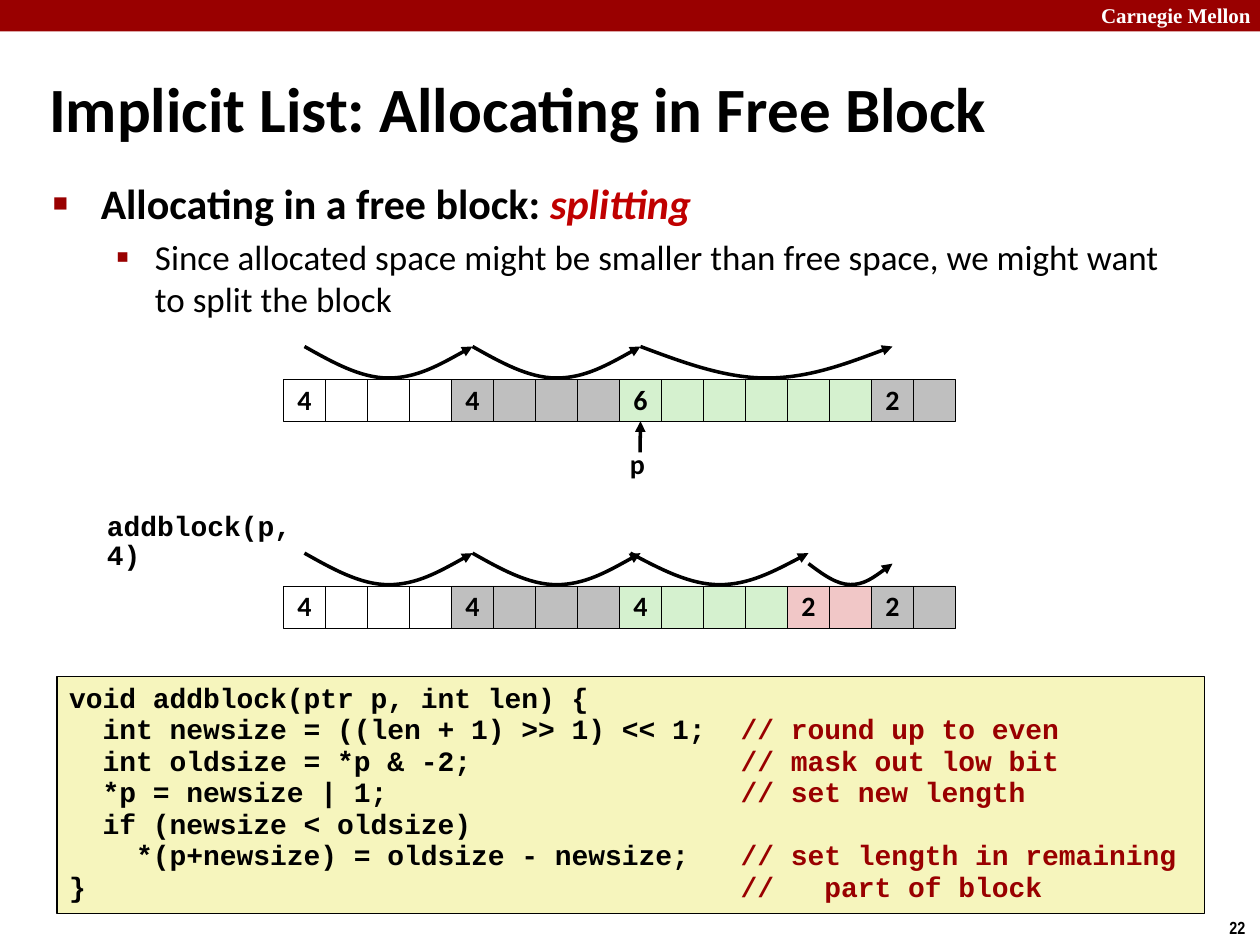
"""Build the slide on splitting a free block in an implicit list."""
import dataclasses

import lxml.etree
import pptx
import pptx.dml.color
import pptx.enum.shapes
import pptx.enum.text
import pptx.oxml.ns
import pptx.util

Inches, Pt = pptx.util.Inches, pptx.util.Pt
RGB = pptx.dml.color.RGBColor.from_string
qn = pptx.oxml.ns.qn
SubElement = lxml.etree.SubElement
RECTANGLE = pptx.enum.shapes.MSO_SHAPE.RECTANGLE
MIDDLE = pptx.enum.text.MSO_ANCHOR.MIDDLE
TOP = pptx.enum.text.MSO_ANCHOR.TOP
LEFT = pptx.enum.text.PP_ALIGN.LEFT
CENTER = pptx.enum.text.PP_ALIGN.CENTER
NO_AUTOFIT = pptx.enum.text.MSO_AUTO_SIZE.NONE


@dataclasses.dataclass(frozen=True)
class Theme:
    ink: str = "000000"
    paper: str = "FFFFFF"
    brand: str = "990000"
    emphasis: str = "C00000"
    allocated: str = "BFBFBF"
    free: str = "D5F1CF"
    remainder: str = "F1C7C7"
    code_fill: str = "F6F5BD"
    sans: str = "Calibri"
    mono: str = "Courier New"
    serif: str = "Times New Roman"
    narrow: str = "Arial Narrow"
    title: int = 36
    heading: int = 24
    detail: int = 20
    label: int = 16
    header: int = 12
    page: int = 10


theme = Theme()


def write(paragraph, text, *, size=theme.label, face=theme.sans, color=theme.ink,
          bold=True, italic=False):
    run = paragraph.add_run()
    run.text = text
    run.font.size = Pt(size)
    run.font.name = face
    run.font.bold = bold
    run.font.italic = italic
    run.font.color.rgb = RGB(color)


def add_box(left, top, width, height, fill, border=None):
    box = slide.shapes.add_shape(RECTANGLE, Inches(left), Inches(top), Inches(width), Inches(height))
    box.shadow.inherit = False
    box.fill.solid()
    box.fill.fore_color.rgb = RGB(fill)
    if border:
        box.line.color.rgb = RGB(theme.ink)
        box.line.width = Pt(border)
    else:
        box.line.fill.background()
    box.text_frame.word_wrap = False
    return box


deck = pptx.Presentation()
deck.slide_width, deck.slide_height = Inches(10), Inches(7.5)
slide = deck.slides.add_slide(deck.slide_layouts[1])

add_box(0, 0, 10, 0.25, theme.brand)

title, body = slide.placeholders
title.left, title.top, title.width, title.height = map(Inches, (0.29, 0.54, 9.42, 0.63))
title.text_frame.auto_size = NO_AUTOFIT
title.text_frame.vertical_anchor = MIDDLE
title.text_frame.paragraphs[0].alignment = LEFT
write(title.text_frame.paragraphs[0], "Implicit List: Allocating in Free Block", size=theme.title)

body.left, body.top, body.width, body.height = map(Inches, (0.32, 1.36, 9.09, 5.69))
body.text_frame.auto_size = NO_AUTOFIT
body.text_frame.vertical_anchor = TOP
topic = body.text_frame.paragraphs[0]
reason = body.text_frame.add_paragraph()
reason.level = 1
for point, margin, hanging, bullet, percent, gap in (
    (topic, 0.38, 0.38, "■", 60, 0),
    (reason, 0.81, 0.31, "▪", 110, 4),
):
    point.space_before = Pt(gap)
    properties = point._p.get_or_add_pPr()
    properties.set("marL", str(Inches(margin)))
    properties.set("indent", str(-Inches(hanging)))
    bullet_color = SubElement(properties, qn("a:buClr"))
    SubElement(bullet_color, qn("a:srgbClr"), val=theme.brand)
    SubElement(properties, qn("a:buSzPct"), val=str(percent * 1000))
    SubElement(properties, qn("a:buChar"), char=bullet)
write(topic, "Allocating in a free block: ", size=theme.heading)
write(topic, "splitting", size=theme.heading, color=theme.emphasis, italic=True)
write(reason, "Since allocated space might be smaller than free space, "
      "we might want to split the block", size=theme.detail, bold=False)

listing = add_box(0.45, 5.37, 9.11, 1.88, theme.code_fill, border=1)
listing.text_frame.vertical_anchor = TOP
code = (
    ("void addblock(ptr p, int len) {", ""),
    ("  int newsize = ((len + 1) >> 1) << 1;", "// round up to even"),
    ("  int oldsize = *p & -2;", "// mask out low bit"),
    ("  *p = newsize | 1;", "// set new length"),
    ("  if (newsize < oldsize)", ""),
    ("    *(p+newsize) = oldsize - newsize;", "// set length in remaining"),
    ("}", "//   part of block"),
)
for number, (statement, comment) in enumerate(code):
    line = listing.text_frame.add_paragraph() if number else listing.text_frame.paragraphs[0]
    line.alignment = LEFT
    line.line_spacing = 0.94
    if comment:
        stops = SubElement(line._p.get_or_add_pPr(), qn("a:tabLst"))
        SubElement(stops, qn("a:tab"), pos=str(Inches(5.33)), algn="l")
    write(line, statement + ("\t" if comment else ""), face=theme.mono)
    if comment:
        write(line, comment, face=theme.mono, color=theme.brand)

cell_size = 1 / 3
heap_left = 2.25
heaps = (
    (3.01, ((4, theme.paper, 0), (4, theme.allocated, 0), (6, theme.free, 0),
            (2, theme.allocated, 0))),
    (4.65, ((4, theme.paper, 0), (4, theme.allocated, 0), (4, theme.free, 0.08),
            (2, theme.remainder, 0), (2, theme.allocated, 0))),
)
headers = []
arrows = []
for top, blocks in heaps:
    left = heap_left
    for index, (length, fill, lead) in enumerate(blocks):
        for word in range(length):
            cell = add_box(left + word * cell_size, top, cell_size, cell_size, fill, border=0.25)
            if word == 0:
                headers.append(cell)
                size_label = cell.text_frame.paragraphs[0]
                size_label.alignment = CENTER
                size_label.line_spacing = 0.98
                write(size_label, str(length))
        if index < len(blocks) - 1:
            start = left + cell_size / 2 - lead
            span = length * cell_size + lead
            rise = min(0.25, span / 4)
            points = [(Inches(start + span * step / 6), Inches(top - 0.01 - rise * height))
                      for step, height in enumerate((1, 0.5, 0, 0, 0, 0.5, 1))]
            outline = slide.shapes.build_freeform(*points[0])
            outline.add_line_segments(points[1:], close=False)
            hop = outline.convert_to_shape()
            hop.shadow.inherit = False
            hop.fill.background()
            route = next(hop._element.iter(qn("a:path")))
            segments = route.findall(qn("a:lnTo"))
            for half in (segments[:3], segments[3:]):
                curve = SubElement(route, qn("a:cubicBezTo"))
                for segment in half:
                    curve.append(segment[0])
                    route.remove(segment)
            arrows.append(hop)
        left += length * cell_size

pointer = slide.shapes.add_connector(pptx.enum.shapes.MSO_CONNECTOR.STRAIGHT,
                                     Inches(5.08), Inches(3.59), Inches(5.08), Inches(3.34))
pointer.end_connect(headers[2], 2)
arrows.append(pointer)
for arrow in arrows:
    arrow.line.color.rgb = RGB(theme.ink)
    arrow.line.width = Pt(2)
    SubElement(arrow.line._get_or_add_ln(), qn("a:tailEnd"), type="triangle")
SubElement(pointer._element.spPr, qn("a:effectLst"))

for text, place, spacing, style in (
    ("Carnegie Mellon", (8.64, -0.03, 1.43, 0.3), 1.0,
     dict(size=theme.header, face=theme.serif, color=theme.paper)),
    ("22", (9.66, 7.23, 0.34, 0.27), 1.0, dict(size=theme.page, face=theme.narrow)),
    ("p", (4.9, 3.51, 0.32, 0.37), 0.98, {}),
    ("addblock(p, 4)", (0.75, 4.03, 1.99, 0.33), 0.85, dict(face=theme.mono)),
):
    caption = slide.shapes.add_textbox(*map(Inches, place)).text_frame
    caption.word_wrap = False
    caption.paragraphs[0].line_spacing = spacing
    write(caption.paragraphs[0], text, **style)

deck.save("out.pptx")
